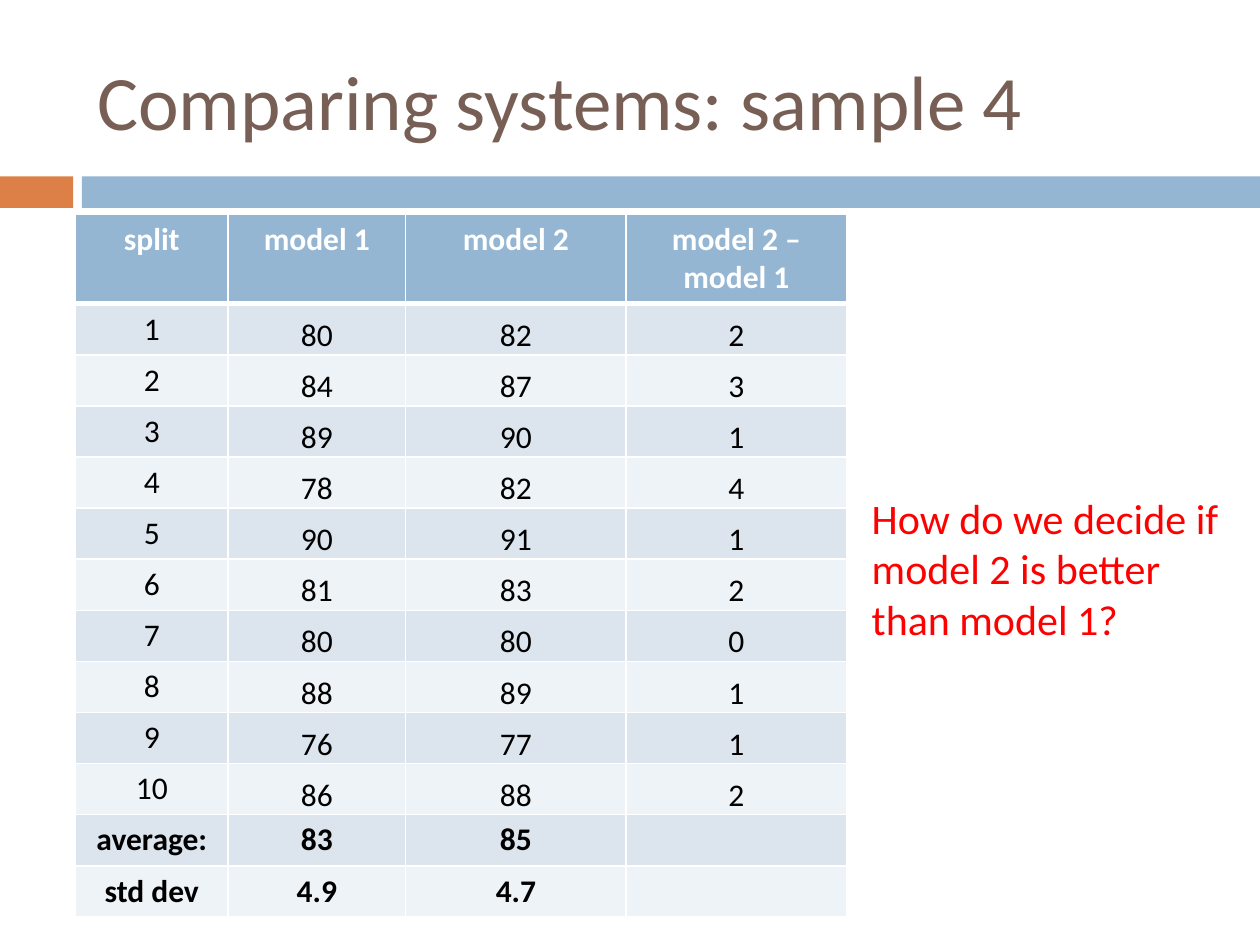
from pptx import Presentation
from pptx.dml.color import RGBColor
from pptx.enum.shapes import MSO_SHAPE as Shape
from pptx.enum.text import MSO_ANCHOR as Anchor, PP_ALIGN as Align
from pptx.oxml import parse_xml
from pptx.oxml.ns import nsdecls
from pptx.util import Inches, Pt

# Content
TITLE = "Comparing systems: sample 4"
ASK = "How do we decide if model 2 is better than model 1?"
HEAD = ("split", "model 1", "model 2", "model 2 – model 1")
SCORES = [(80, 82), (84, 87), (89, 90), (78, 82), (90, 91),
          (81, 83), (80, 80), (88, 89), (76, 77), (86, 88)]
TOTALS = [("average:", "83", "85", ""), ("std dev", "4.9", "4.7", "")]

# Look
WHITE = RGBColor(0xFF, 0xFF, 0xFF)
BLACK = RGBColor(0x00, 0x00, 0x00)
BROWN = RGBColor(0x77, 0x5F, 0x55)
ORANGE = RGBColor(0xDD, 0x80, 0x47)
BLUE = RGBColor(0x94, 0xB6, 0xD2)
RED = RGBColor(0xFF, 0x00, 0x00)
BANDS = (RGBColor(0xDC, 0xE5, 0xEE), RGBColor(0xEE, 0xF3, 0xF7))
BARS = [(0, 0.58, ORANGE), (0.65, 9.35, BLUE)]
COLS = (1.21, 1.41, 1.75, 1.75)
ROW = 0.39
TIGHT = {"vertical_anchor": Anchor.BOTTOM, "margin_left": Inches(0.01),
         "margin_right": Inches(0.01), "margin_top": Inches(0.01),
         "margin_bottom": 0}


def apply(item, form):
    for key, value in form.items():
        setattr(item, key, value)


def write(frame, text, size, color, bold=False, align=Align.LEFT):
    para = frame.paragraphs[0]
    para.alignment = align
    if text:
        run = para.add_run()
        run.text = text
        apply(run.font, {"name": "Calibri", "size": Pt(size), "bold": bold})
        run.font.color.rgb = color


def edge(cell, side, width):
    cell._tc.get_or_add_tcPr().append(parse_xml(
        f'<a:ln{side} {nsdecls("a")} w="{Pt(width)}"><a:solidFill>'
        f'<a:srgbClr val="{WHITE}"/></a:solidFill></a:ln{side}>'))


def paint(shape, color):
    shape.fill.solid()
    shape.fill.fore_color.rgb = color


deck = Presentation()
apply(deck, {"slide_width": Inches(10), "slide_height": Inches(7.5)})
slide = deck.slides.add_slide(deck.slide_layouts[5])

# Bars under the title
for left, width, color in BARS:
    bar = slide.shapes.add_shape(Shape.RECTANGLE, Inches(left), Inches(1.4),
                                 Inches(width), Inches(0.25))
    bar.shadow.inherit = False
    bar.line.fill.background()
    paint(bar, color)

# Title
title = slide.shapes.title
apply(title, {"left": Inches(0.67), "top": Inches(0.25),
              "width": Inches(8.92), "height": Inches(1.08)})
title.text_frame.vertical_anchor = Anchor.MIDDLE
write(title.text_frame, TITLE, 44, BROWN)

# Table: head, one row for each split, totals
body = [(str(n), str(a), str(b), str(b - a))
        for n, (a, b) in enumerate(SCORES, 1)]
rows = [HEAD, *body, *TOTALS]
table = slide.shapes.add_table(len(rows), len(COLS), Inches(0.6), Inches(1.7),
                               Inches(sum(COLS)), Inches(ROW * len(rows))).table
table.horz_banding = False
for col, width in zip(table.columns, COLS):
    col.width = Inches(width)
for r, row in enumerate(rows):
    table.rows[r].height = Inches(ROW)
    top = r == 0
    score = 0 < r <= len(body)
    for c, text in enumerate(row):
        cell = table.cell(r, c)
        if score and c:
            apply(cell, TIGHT)
        for side in "LRTB":
            thick = (side == "B" and top) or (side == "T" and r == 1)
            edge(cell, side, 3 if thick else 1)
        paint(cell, BLUE if top else BANDS[(r - 1) % 2])
        write(cell.text_frame, text, 18, WHITE if top else BLACK,
              not score, Align.CENTER)

# Question
note = slide.shapes.add_textbox(Inches(6.82), Inches(3.86),
                                Inches(2.99), Inches(1.31))
note.text_frame.word_wrap = True
write(note.text_frame, ASK, 24, RED)

deck.save("out.pptx")
